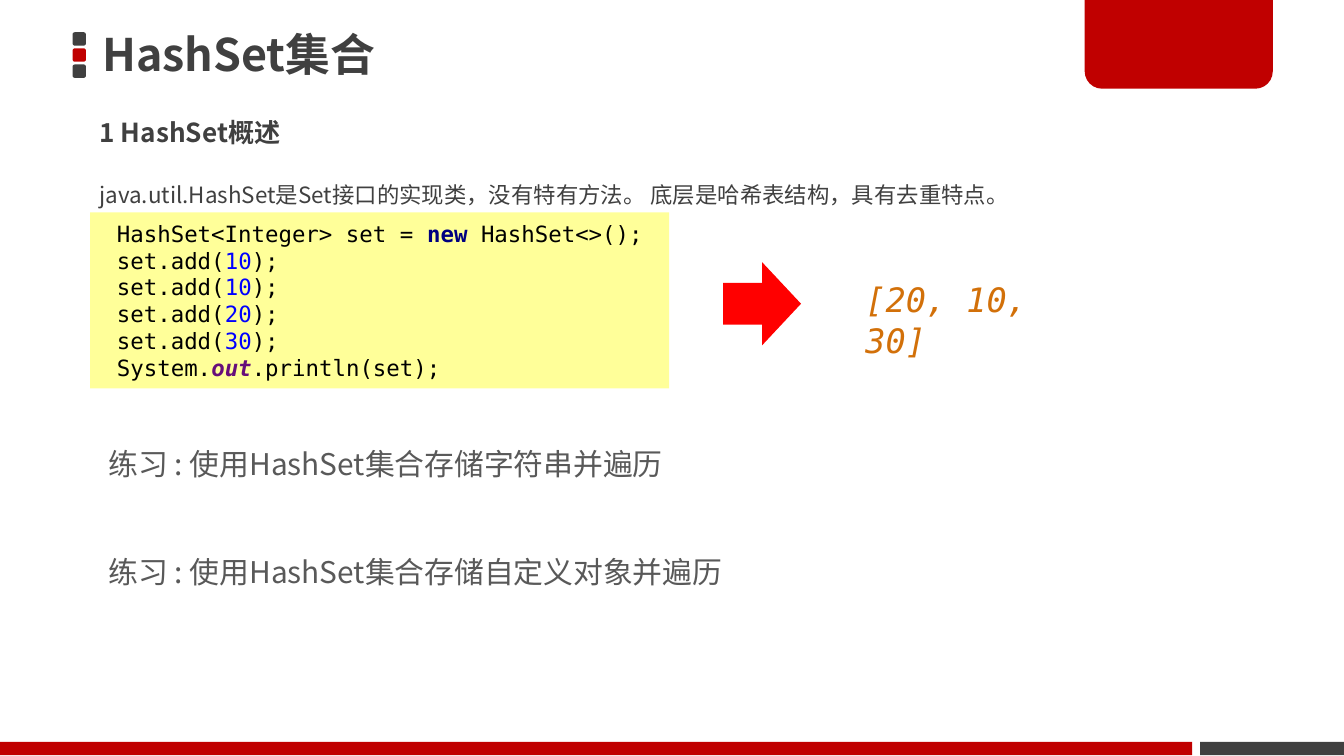
"""Builds a slide that introduces the HashSet collection."""
import pptx
import pptx.dml.color
import pptx.enum.shapes
import pptx.enum.text
import pptx.oxml.ns
import pptx.util
from pptx.util import Inches

SHAPE = pptx.enum.shapes.MSO_SHAPE
ANCHOR = pptx.enum.text.MSO_ANCHOR


def color(value):
    return pptx.dml.color.RGBColor.from_string(value)


def add_run(p, text, font="Noto Sans CJK JP", size=12, fill="404040", bold=False, italic=False):
    r = p.add_run()
    r.text = text
    r.font.name = font
    r.font.size = pptx.util.Pt(size)
    r.font.bold = bold
    r.font.italic = italic
    r.font.color.rgb = color(fill)
    ea = r.font._element.makeelement(pptx.oxml.ns.qn("a:ea"), {"typeface": font})
    r.font._element.find(pptx.oxml.ns.qn("a:latin")).addnext(ea)


class SlideBuilder:
    red = "C00000"
    gray = "404040"
    mono = "DejaVu Sans Mono"

    def __init__(self, prs):
        self.s = prs.slides.add_slide(prs.slide_layouts[6])

    def shape(self, kind, box, fill, adjust=None):
        sp = self.s.shapes.add_shape(kind, *map(Inches, box))
        sp.shadow.inherit = False
        sp.fill.solid()
        sp.fill.fore_color.rgb = color(fill)
        sp.line.fill.background()
        if adjust is not None:
            sp.adjustments[0] = adjust
        return sp

    def frame(self, sp, anchor, left, top, right):
        tf = sp.text_frame
        tf.word_wrap = True
        tf.vertical_anchor = anchor
        tf.margin_left, tf.margin_right = Inches(left), Inches(right)
        tf.margin_top = tf.margin_bottom = Inches(top)
        return tf

    def text(self, box, text, anchor=ANCHOR.TOP, inset=(0.1, 0.05), spacing=None, **style):
        sp = self.s.shapes.add_textbox(*map(Inches, box))
        p = self.frame(sp, anchor, *inset, inset[0]).paragraphs[0]
        p.line_spacing = spacing
        add_run(p, text, **style)

    def code(self, box, lines):
        sp = self.shape(SHAPE.RECTANGLE, box, "FFFF99")
        p = self.frame(sp, ANCHOR.MIDDLE, 0.2, 0.05, 0.1).paragraphs[0]
        p.alignment = pptx.enum.text.PP_ALIGN.LEFT
        for i, line in enumerate(lines):
            if i:
                p.add_line_break()
            for text, style in line:
                add_run(p, text, font=self.mono, **style)


def main():
    prs = pptx.Presentation()
    prs.slide_width = Inches(10)
    prs.slide_height = prs.slide_width * 9 // 16
    b = SlideBuilder(prs)

    for i, fill in enumerate((b.gray, b.red, b.gray)):
        b.shape(SHAPE.ROUNDED_RECTANGLE, (0.54, 0.24 + 0.12 * i, 0.1, 0.1), fill, 0.17)
    b.shape(SHAPE.RECTANGLE, (8.93, 5.52, 1.07, 0.1), b.gray)
    tab = b.shape(SHAPE.ROUND_2_SAME_RECTANGLE, (8.07, -0.02, 1.4, 0.68), b.red, 0.19)
    tab.rotation = 180
    b.shape(SHAPE.RECTANGLE, (0, 5.52, 8.87, 0.1), b.red)

    tight = (0.07, 0.04)
    b.text((0.69, 0.19, 7.19, 0.42), "HashSet集合", ANCHOR.MIDDLE, tight, size=24, bold=True)
    b.text((0.67, 0.77, 4.08, 0.42), "1 HashSet概述", ANCHOR.MIDDLE, tight, size=14, bold=True)
    b.text((0.67, 1.21, 7.46, 0.42),
           "java.util.HashSet是Set接口的实现类，没有特有方法。 底层是哈希表结构，具有去重特点。",
           inset=tight, spacing=1.5)

    plain = {"fill": "000000"}
    keyword = {"fill": "000080", "bold": True}
    number = {"fill": "0000FF"}
    field = {"fill": "660E7A", "bold": True, "italic": True}
    adds = [[("set.add(", plain), (str(n), number), (");", plain)] for n in (10, 10, 20, 30)]
    b.code((0.67, 1.58, 4.31, 1.31), [
        [("HashSet<Integer> set = ", plain), ("new ", keyword), ("HashSet<>();", plain)],
        *adds,
        [("System.", plain), ("out", field), (".println(set);", plain)],
    ])
    b.shape(SHAPE.RIGHT_ARROW, (5.38, 1.95, 0.58, 0.62), "FF0000")
    b.text((6.34, 2.03, 1.89, 0.4), "[20, 10, 30]",
           font=b.mono, size=18, fill="D27009", italic=True)

    for i, kind in enumerate(("字符串", "自定义对象")):
        b.text((0.71, 3.27 + 0.8 * i, 6.34, 0.37), f"练习 : 使用HashSet集合存储{kind}并遍历",
               size=16, fill="595959")

    prs.save("out.pptx")


if __name__ == "__main__":
    main()
